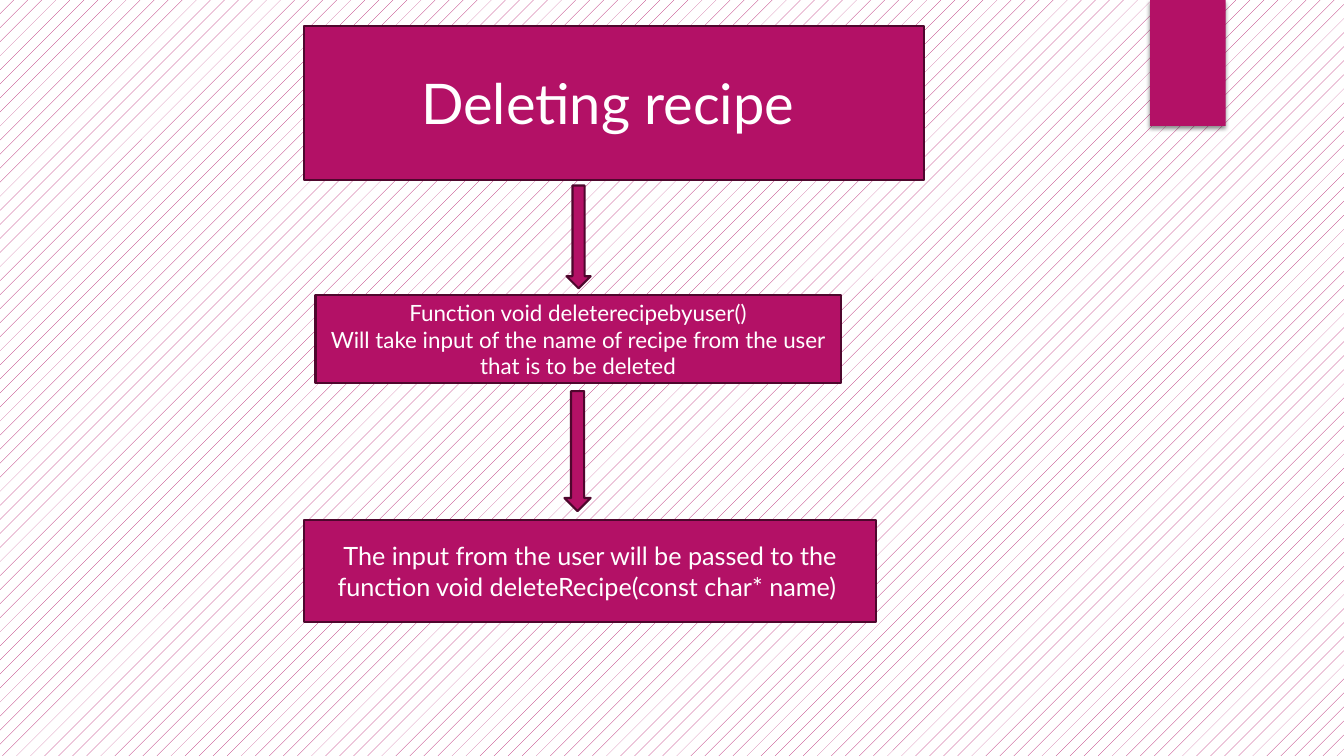
from lxml import etree
from pptx import Presentation
from pptx.dml.color import RGBColor
from pptx.enum.dml import MSO_PATTERN
from pptx.enum.shapes import MSO_SHAPE
from pptx.enum.text import MSO_ANCHOR, PP_ALIGN
from pptx.oxml.ns import qn
from pptx.util import Pt

RECTANGLE = MSO_SHAPE.RECTANGLE
DOWN_ARROW = MSO_SHAPE.DOWN_ARROW
CENTER = PP_ALIGN.CENTER
MIDDLE = MSO_ANCHOR.MIDDLE
DOTS = MSO_PATTERN.PERCENT_5

FONT = "Lato"
MAGENTA, PLUM, WHITE = "B31166", "4E072D", "FFFFFF"

TITLE = "Deleting recipe "
TITLE_BOX = (217.44, 18.72, 442.8, 110.16)
TITLE_TEXT_BOX = (223.92, 45.36, 430.56, 55.44)
TAB_BOX = (821.52, 0, 54, 90)
STEPS = [
    ("Function void deleterecipebyuser()\n"
     "Will take input of the name of recipe from the user that is to be deleted",
     16, (225.36, 210.96, 375.12, 62.64)),
    ("The input from the user will be passed to the function "
     "void deleteRecipe(const char* name) ",
     18, (217.44, 371.52, 408.24, 72.72)),
]
ARROW_BOXES = [(404.64, 132.48, 17.28, 73.44), (403.2, 279.36, 18.72, 85.68)]


def color(value):
    return RGBColor.from_string(value)


def points(box):
    return [Pt(value) for value in box]


def add_block(slide, kind, box, outlined=True):
    shape = slide.shapes.add_shape(kind, *points(box))
    shape.shadow.inherit = False
    shape.fill.solid()
    shape.fill.fore_color.rgb = color(MAGENTA)
    if outlined:
        shape.line.color.rgb = color(PLUM)
        shape.line.width = Pt(1.5)
    else:
        shape.line.fill.background()
    return shape


def write(shape, text, size):
    frame = shape.text_frame
    frame.text = text
    frame.word_wrap = True
    frame.vertical_anchor = MIDDLE
    for paragraph in frame.paragraphs:
        paragraph.alignment = CENTER
        for run in paragraph.runs:
            run.font.name = FONT
            run.font.size = Pt(size)
            run.font.color.rgb = color(WHITE)


def add_drop_shadow(shape):
    effects = shape._element.spPr.find(qn("a:effectLst"))
    shadow = etree.SubElement(
        effects, qn("a:outerShdw"), blurRad=str(Pt(3)), dist=str(Pt(2)),
        dir="5400000", algn="ctr", rotWithShape="0")
    black = etree.SubElement(shadow, qn("a:srgbClr"), val="000000")
    etree.SubElement(black, qn("a:alpha"), val="45000")


def main():
    presentation = Presentation()
    presentation.slide_width = Pt(960)
    presentation.slide_height = Pt(540)
    slide = presentation.slides.add_slide(presentation.slide_layouts[5])

    background = slide.background.fill
    background.patterned()
    background.pattern = DOTS
    background.fore_color.rgb = color(MAGENTA)
    background.back_color.rgb = color(WHITE)

    add_drop_shadow(add_block(slide, RECTANGLE, TAB_BOX, outlined=False))

    title_panel = add_block(slide, RECTANGLE, TITLE_BOX)
    title = slide.shapes.title
    title.left, title.top, title.width, title.height = points(TITLE_TEXT_BOX)
    write(title, TITLE, 40)
    title_panel._element.addnext(title._element)

    for text, size, box in STEPS:
        write(add_block(slide, RECTANGLE, box), text, size)
    for box in ARROW_BOXES:
        add_block(slide, DOWN_ARROW, box)

    presentation.save("out.pptx")


if __name__ == "__main__":
    main()
